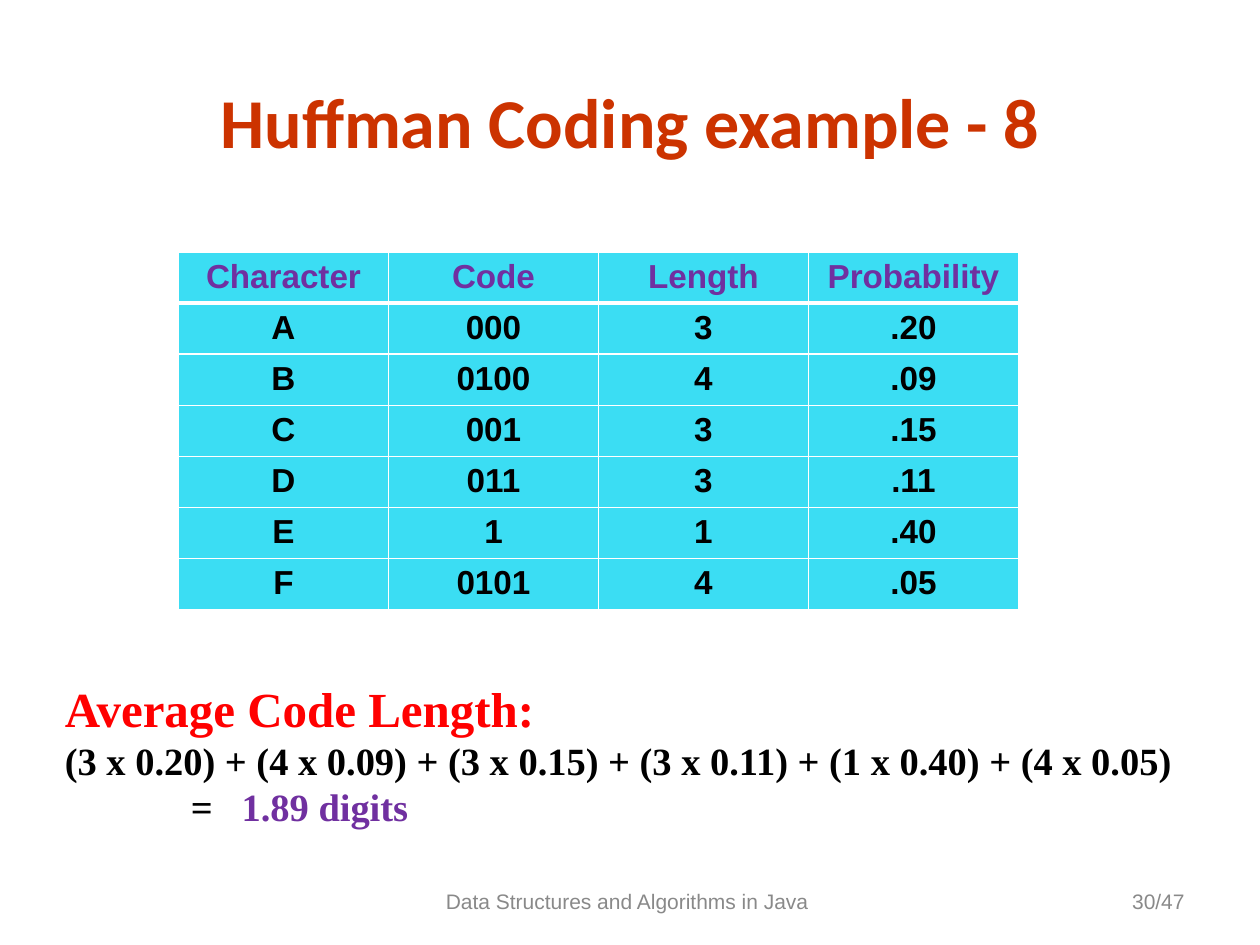
from dataclasses import dataclass
from typing import NamedTuple

from lxml import etree
from pptx import Presentation
from pptx import util as u
from pptx.dml.color import RGBColor
from pptx.enum import text
from pptx.oxml import ns

Pt = u.Pt
ALIGN = text.PP_ALIGN
ANCHOR = text.MSO_ANCHOR


@dataclass(frozen=True)
class Theme:
    title: str = "CC3300"
    heading: str = "FF0000"
    accent: str = "7030A0"
    body: str = "000000"
    muted: str = "898989"
    cell: str = "3BDDF3"
    border: str = "FFFFFF"
    title_size: float = 40
    heading_size: float = 28
    formula_size: float = 22
    table_size: float = 19
    footer_size: float = 12
    sans: str = "Arial"
    serif: str = "Times New Roman"
    title_font: str = "Calibri"


class Box(NamedTuple):
    left: float
    top: float
    width: float
    height: float


class Label(NamedTuple):
    box: Box
    words: str
    align: ALIGN
    style: dict


THEME = Theme()
FOOTER = dict(size=THEME.footer_size, font=THEME.sans, color=THEME.muted)
LABELS = [
    Label(Box(54, 41, 612, 55.4), "Huffman Coding example - 8", ALIGN.CENTER,
          dict(size=THEME.title_size, font=THEME.title_font, color=THEME.title, bold=True)),
    Label(Box(244.5, 500.5, 228, 28.8), "Data Structures and Algorithms in Java", ALIGN.CENTER, FOOTER),
    Label(Box(516, 500.5, 168, 28.8), "30/47", ALIGN.RIGHT, FOOTER),
]
CODES = [
    ("Character", "Code", "Length", "Probability"),
    ("A", "000", "3", ".20"),
    ("B", "0100", "4", ".09"),
    ("C", "001", "3", ".15"),
    ("D", "011", "3", ".11"),
    ("E", "1", "1", ".40"),
    ("F", "0101", "4", ".05"),
]
COLUMN_WIDTH, ROW_HEIGHT = 120, 29.2
EQUALS_TAB, RESULT_TAB = 72, 101


def write(paragraph, words: str, *, size: float, font: str, color: str, bold: bool = False) -> None:
    """Append a formatted run to the paragraph."""
    run = paragraph.add_run()
    run.text = words
    run.font.size = Pt(size)
    run.font.name = font
    run.font.bold = bold
    run.font.color.rgb = RGBColor.from_string(color)


def add_text_frame(slide, box: Box, anchor: ANCHOR):
    frame = slide.shapes.add_textbox(*map(Pt, box)).text_frame
    frame.word_wrap = True
    frame.vertical_anchor = anchor
    return frame


def add_label(slide, label: Label) -> None:
    paragraph = add_text_frame(slide, label.box, ANCHOR.MIDDLE).paragraphs[0]
    paragraph.alignment = label.align
    write(paragraph, label.words, **label.style)


def add_tab_stops(paragraph, *positions: float) -> None:
    tab_list = etree.SubElement(paragraph._p.get_or_add_pPr(), ns.qn("a:tabLst"))
    for position in positions:
        etree.SubElement(tab_list, ns.qn("a:tab"), pos=str(Pt(position)), algn="l")


def set_borders(cell, **widths: float) -> None:
    """Draw the given sides (L, R, T, B) in the border colour."""
    properties = cell._tc.get_or_add_tcPr()
    for side, width in widths.items():
        line = etree.SubElement(properties, ns.qn(f"a:ln{side}"), w=str(Pt(width)))
        fill = etree.SubElement(line, ns.qn("a:solidFill"))
        etree.SubElement(fill, ns.qn("a:srgbClr"), val=THEME.border)


def add_code_table(slide) -> None:
    rows, columns = len(CODES), len(CODES[0])
    table = slide.shapes.add_table(rows, columns, Pt(102), Pt(144),
                                   Pt(columns * COLUMN_WIDTH), Pt(rows * ROW_HEIGHT)).table
    for column in table.columns:
        column.width = Pt(COLUMN_WIDTH)
    for index, (row, values) in enumerate(zip(table.rows, CODES)):
        row.height = Pt(ROW_HEIGHT)
        for cell, value in zip(row.cells, values):
            set_borders(cell, L=1, R=1, T=3 if index == 1 else 1, B=3 if index == 0 else 1)
            cell.fill.solid()
            cell.fill.fore_color.rgb = RGBColor.from_string(THEME.cell)
            paragraph = cell.text_frame.paragraphs[0]
            paragraph.alignment = ALIGN.CENTER
            write(paragraph, value, size=THEME.table_size, font=THEME.sans, bold=True,
                  color=THEME.accent if index == 0 else THEME.body)


def add_average(slide) -> None:
    """Work out the average code length below the table."""
    frame = add_text_frame(slide, Box(30, 384, 672, 93.6), ANCHOR.TOP)
    heading, formula, result = frame.paragraphs[0], frame.add_paragraph(), frame.add_paragraph()
    style = dict(size=THEME.formula_size, font=THEME.serif, bold=True)
    write(heading, "Average Code Length:", size=THEME.heading_size, font=THEME.serif,
          color=THEME.heading, bold=True)
    terms = [f"({length} x 0{probability})" for _, _, length, probability in CODES[1:]]
    write(formula, " + ".join(terms), color=THEME.body, **style)
    add_tab_stops(result, EQUALS_TAB, RESULT_TAB)
    write(result, "\t=\t", color=THEME.body, **style)
    write(result, "1.89 digits", color=THEME.accent, **style)


def main() -> None:
    presentation = Presentation()
    presentation.slide_width, presentation.slide_height = Pt(720), Pt(540)
    slide = presentation.slides.add_slide(presentation.slide_layouts[6])
    add_code_table(slide)
    add_average(slide)
    for label in LABELS:
        add_label(slide, label)
    presentation.save("out.pptx")


if __name__ == "__main__":
    main()
